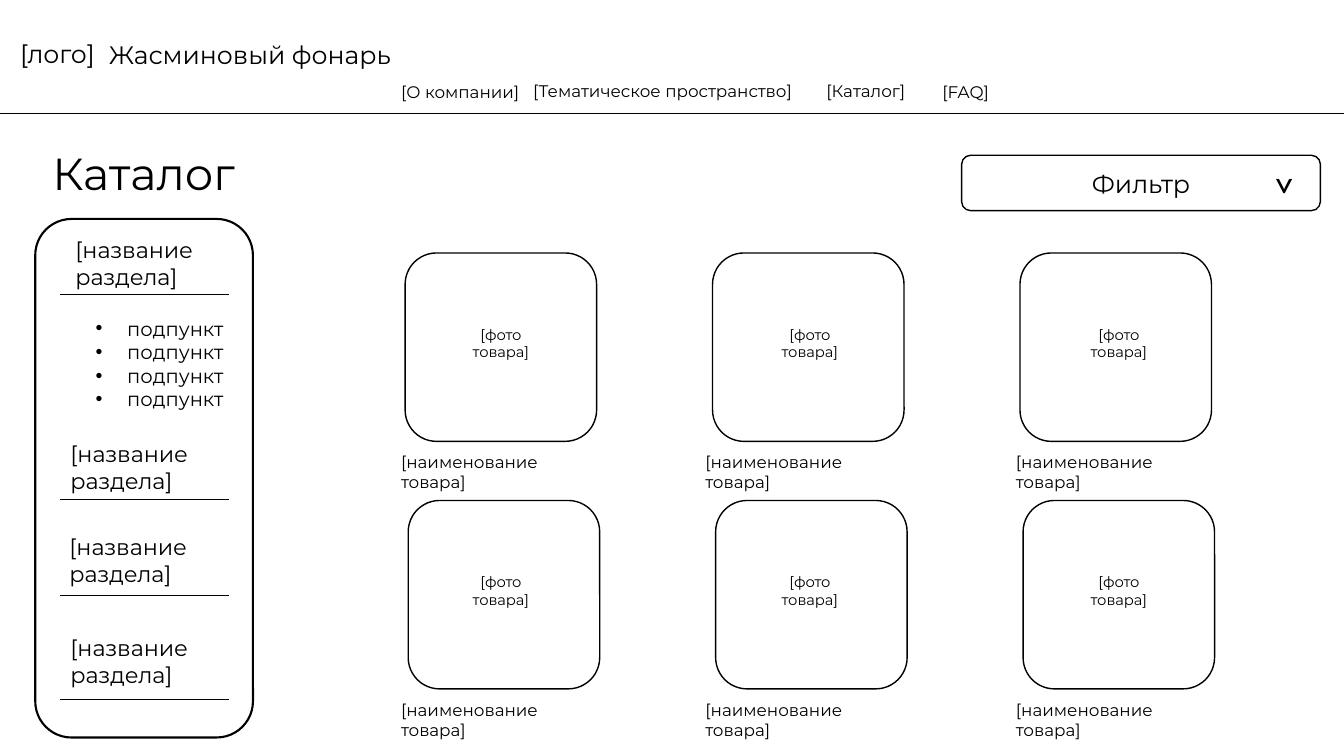
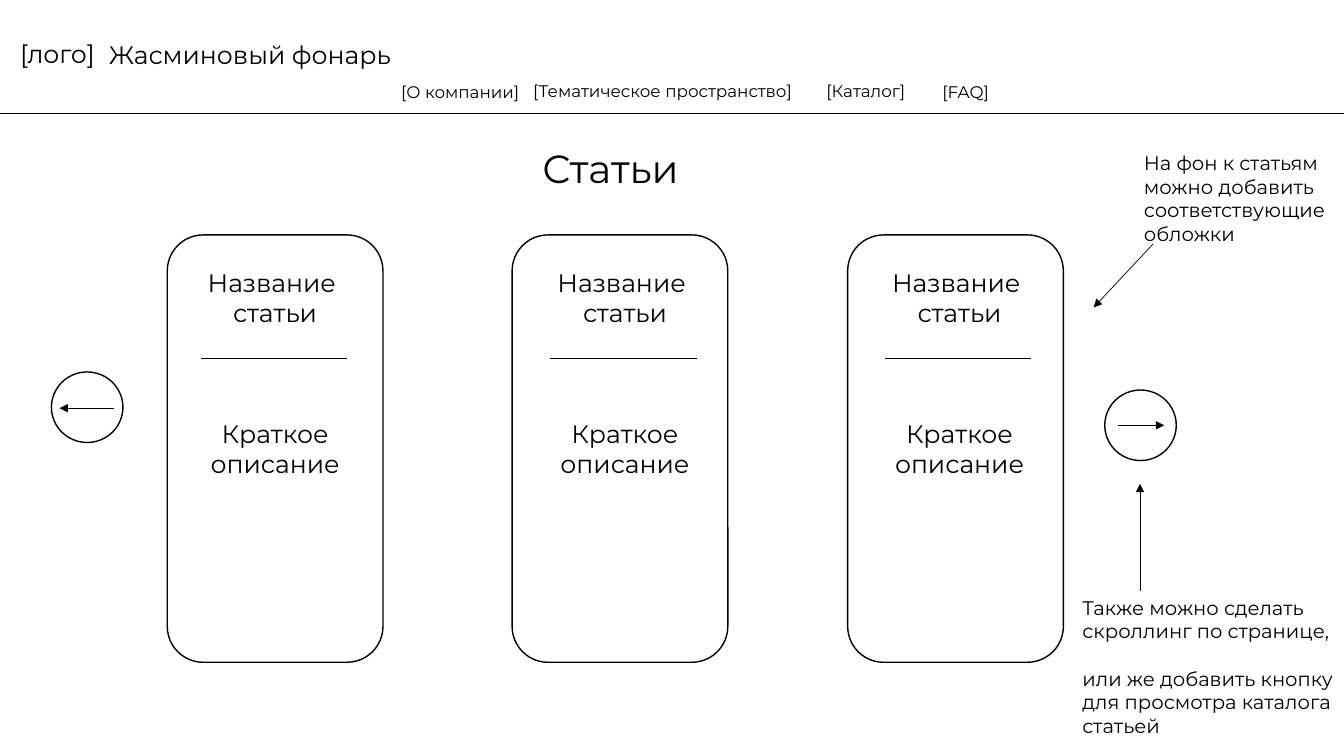
import copy
import dataclasses
import typing

import lxml.etree
import pptx
import pptx.dml.color
import pptx.enum.shapes
import pptx.enum.text
import pptx.oxml.ns
import pptx.util

Pt = pptx.util.Pt
qn = pptx.oxml.ns.qn
ShapeKind = pptx.enum.shapes.MSO_SHAPE
Align = pptx.enum.text.PP_ALIGN
Anchor = pptx.enum.text.MSO_ANCHOR
AutoSize = pptx.enum.text.MSO_AUTO_SIZE

SLIDE_WIDTH, SLIDE_HEIGHT = 960, 540
INK, PAPER = "000000", "FFFFFF"
FONT = "Montserrat"
THIN, NORMAL, BOLD = 0.5, 1, 1.5
INSET, INSET_TOP = 7.2, 3.6


@dataclasses.dataclass(frozen=True)
class Box:
    left: float
    top: float
    width: float
    height: float

    def lengths(self) -> tuple:
        return tuple(Pt(value) for value in dataclasses.astuple(self))


@dataclasses.dataclass(frozen=True)
class Label:
    text: str
    box: Box
    size: float
    centered: bool = False


@dataclasses.dataclass(frozen=True)
class Line:
    start: tuple[float, float]
    end: tuple[float, float]
    arrow: bool = False


HEADER_LABELS = (
    Label("[лого]", Box(7.2, 23.6, 68.4, 29), 18),
    Label("Жасминовый фонарь", Box(70.6, 24.2, 264, 29), 18),
    Label("[О компании]", Box(279.4, 55, 98, 21.8), 12),
    Label("[Тематическое пространство]", Box(373.7, 54.4, 237, 21.8), 12),
    Label("[Каталог]", Box(583.2, 54.4, 70.6, 21.8), 12),
    Label("[FAQ]", Box(666, 55, 48.2, 21.8), 12),
)


def color(value: str) -> pptx.dml.color.RGBColor:
    return pptx.dml.color.RGBColor.from_string(value)


def set_attributes(target: typing.Any, values: dict) -> None:
    for name, value in values.items():
        setattr(target, name, value)


def format_runs(paragraph: typing.Any, size: float, font: str) -> None:
    """Format the runs and give line breaks the same text size."""
    for run in paragraph.runs:
        set_attributes(run.font, {"name": font, "size": Pt(size), "bold": False})
        run.font.color.rgb = color(INK)
    for line_break in paragraph._p.findall(qn("a:br")):
        line_break.append(copy.deepcopy(paragraph.runs[0]._r.rPr))


def write_text(shape: typing.Any, paragraphs: typing.Sequence[str], size: float,
               centered: bool = False, anchor: typing.Any = Anchor.TOP,
               font: str = FONT) -> None:
    frame = shape.text_frame
    set_attributes(frame, {
        "word_wrap": True,
        "auto_size": AutoSize.NONE,
        "vertical_anchor": anchor,
        "margin_left": Pt(0 if centered else INSET),
        "margin_right": Pt(0),
        "margin_top": Pt(INSET_TOP),
        "margin_bottom": Pt(INSET_TOP),
    })
    for index, text in enumerate(paragraphs):
        paragraph = frame.add_paragraph() if index else frame.paragraphs[0]
        set_attributes(paragraph, {
            "text": text,
            "alignment": Align.CENTER if centered else Align.LEFT,
        })
        format_runs(paragraph, size, font)


def add_text(slide: typing.Any, box: Box, paragraphs: typing.Sequence[str],
             size: float, **options: typing.Any) -> typing.Any:
    shape = slide.shapes.add_textbox(*box.lengths())
    write_text(shape, paragraphs, size, **options)
    return shape


def add_label(slide: typing.Any, label: Label) -> None:
    add_text(slide, label.box, [label.text], label.size, centered=label.centered)


def add_outline(slide: typing.Any, box: Box, line_width: float = NORMAL,
                kind: typing.Any = ShapeKind.ROUNDED_RECTANGLE,
                fill: str | None = None) -> typing.Any:
    shape = slide.shapes.add_shape(kind, *box.lengths())
    shape.shadow.inherit = False
    if fill:
        shape.fill.solid()
        shape.fill.fore_color.rgb = color(fill)
    else:
        shape.fill.background()
    shape.line.color.rgb = color(INK)
    shape.line.width = Pt(line_width)
    return shape


def add_line(slide: typing.Any, line: Line) -> None:
    points = [Pt(value) for value in (*line.start, *line.end)]
    connector = slide.shapes.add_connector(
        pptx.enum.shapes.MSO_CONNECTOR.STRAIGHT, *points)
    connector.line.color.rgb = color(INK)
    connector.line.width = Pt(THIN)
    properties = connector._element.spPr
    if line.arrow:
        lxml.etree.SubElement(properties.find(qn("a:ln")), qn("a:tailEnd"), type="triangle")
    lxml.etree.SubElement(properties, qn("a:effectLst"))


def add_bullets(paragraphs: typing.Iterable, indent: float) -> None:
    for paragraph in paragraphs:
        properties = paragraph._p.get_or_add_pPr()
        properties.set("marL", str(Pt(indent)))
        properties.set("indent", str(-Pt(indent)))
        lxml.etree.SubElement(properties, qn("a:buFont"), typeface="Arial")
        lxml.etree.SubElement(properties, qn("a:buChar"), char="•")


def add_page(presentation: typing.Any, title: Label) -> typing.Any:
    """Add a slide with its title and the site header."""
    slide = presentation.slides.add_slide(presentation.slide_layouts[5])
    names = ("left", "top", "width", "height")
    set_attributes(slide.shapes.title, dict(zip(names, title.box.lengths())))
    write_text(slide.shapes.title, [title.text], title.size)
    for label in HEADER_LABELS:
        add_label(slide, label)
    add_line(slide, Line((0, 81.2), (SLIDE_WIDTH, 81.2)))
    return slide


def add_sidebar(slide: typing.Any) -> None:
    add_outline(slide, Box(25.2, 156.4, 155.5, 370.4), BOLD)
    sections = ((46.8, 164.9, 210.3), (43.2, 311, 356.8),
                (42.5, 377.3, 425.5), (43.2, 449.3, 499.3))
    for left, top, rule_top in sections:
        add_label(slide, Label("[название раздела]", Box(left, top, 130, 46), 16))
        add_line(slide, Line((43, rule_top), (163.8, rule_top)))
    bullets = add_text(slide, Box(61.2, 222.5, 112, 92), ["подпункт"] * 4, 14)
    add_bullets(bullets.text_frame.paragraphs, 22.5)


def add_filter(slide: typing.Any) -> None:
    button = add_outline(slide, Box(686.9, 110.9, 256.3, 39.6), fill=PAPER)
    write_text(button, ["Фильтр"], 18, centered=True, anchor=Anchor.MIDDLE)
    chevron = add_text(slide, Box(900.7, 111.6, 28.8, 41), ["<"], 28, font="Calibri")
    chevron.rotation = 270


def add_products(slide: typing.Any) -> None:
    row_gap = 176.8
    for row in range(2):
        offset = row * row_gap
        for column, name_left in enumerate((279.4, 496.8, 718.6)):
            card_left = 289.4 + column * 219.6 + row * 2.2
            add_outline(slide, Box(card_left, 180.7 + offset, 136.8, 134.6), fill=PAPER)
            photo = Box(330.5 + column * 220.7, 229 + offset, 54.7, 32.4)
            add_label(slide, Label("[фото\nтовара]", photo, 10.5, True))
            name = Box(name_left, 319.3 + offset, 130, 36)
            add_label(slide, Label("[наименование товара]", name, 12))


def build_catalog(presentation: typing.Any) -> None:
    slide = add_page(presentation, Label("Каталог", Box(30.2, 100.8, 144.7, 46), 32))
    add_sidebar(slide)
    add_filter(slide)
    add_products(slide)


def add_article(slide: typing.Any, card_left: float, text_left: float) -> None:
    add_outline(slide, Box(card_left, 167.8, 154.1, 305.3))
    heading = Box(text_left, 187.2, 110.9, 51)
    add_label(slide, Label("Название \nстатьи", heading, 18, True))
    add_line(slide, Line((text_left + 2.2, 256.3), (text_left + 106.6, 256.3)))
    summary = Box(text_left, 295.2, 110.9, 51)
    add_label(slide, Label("Краткое\nописание", summary, 18, True))


def build_articles(presentation: typing.Any) -> None:
    slide = add_page(presentation, Label("Статьи", Box(380.2, 99.4, 111.6, 41), 28))
    for card_left, text_left in ((119.5, 141.1), (365.8, 391), (605.5, 630)):
        add_article(slide, card_left, text_left)
    for left, top in ((36.7, 265.7), (789.1, 278.6)):
        add_outline(slide, Box(left, top, 51.1, 50.4), kind=ShapeKind.OVAL)
    for line in (
        Line((81.4, 291.6), (42.5, 291.6), True),
        Line((798.5, 303.8), (831.6, 303.8), True),
        Line((823.7, 174.2), (781.2, 219.6), True),
        Line((814.3, 421.9), (814.3, 345.6), True),
    ):
        add_line(slide, line)
    covers_note = "На фон к статьям\nможно добавить\nсоответствующие\nобложки"
    add_label(slide, Label(covers_note, Box(810, 104.4, 144, 74.9), 14))
    scrolling_note = add_text(slide, Box(766.1, 421.9, 193.9, 110), [
        "Также можно сделать\nскроллинг по странице,",
        "или же добавить кнопку\nдля просмотра каталога",
        "статьей",
    ], 14)
    scrolling_note.text_frame.paragraphs[1].space_before = Pt(17)


def main() -> None:
    presentation = pptx.Presentation()
    presentation.slide_width = Pt(SLIDE_WIDTH)
    presentation.slide_height = Pt(SLIDE_HEIGHT)
    build_catalog(presentation)
    build_articles(presentation)
    presentation.save("out.pptx")


if __name__ == "__main__":
    main()
